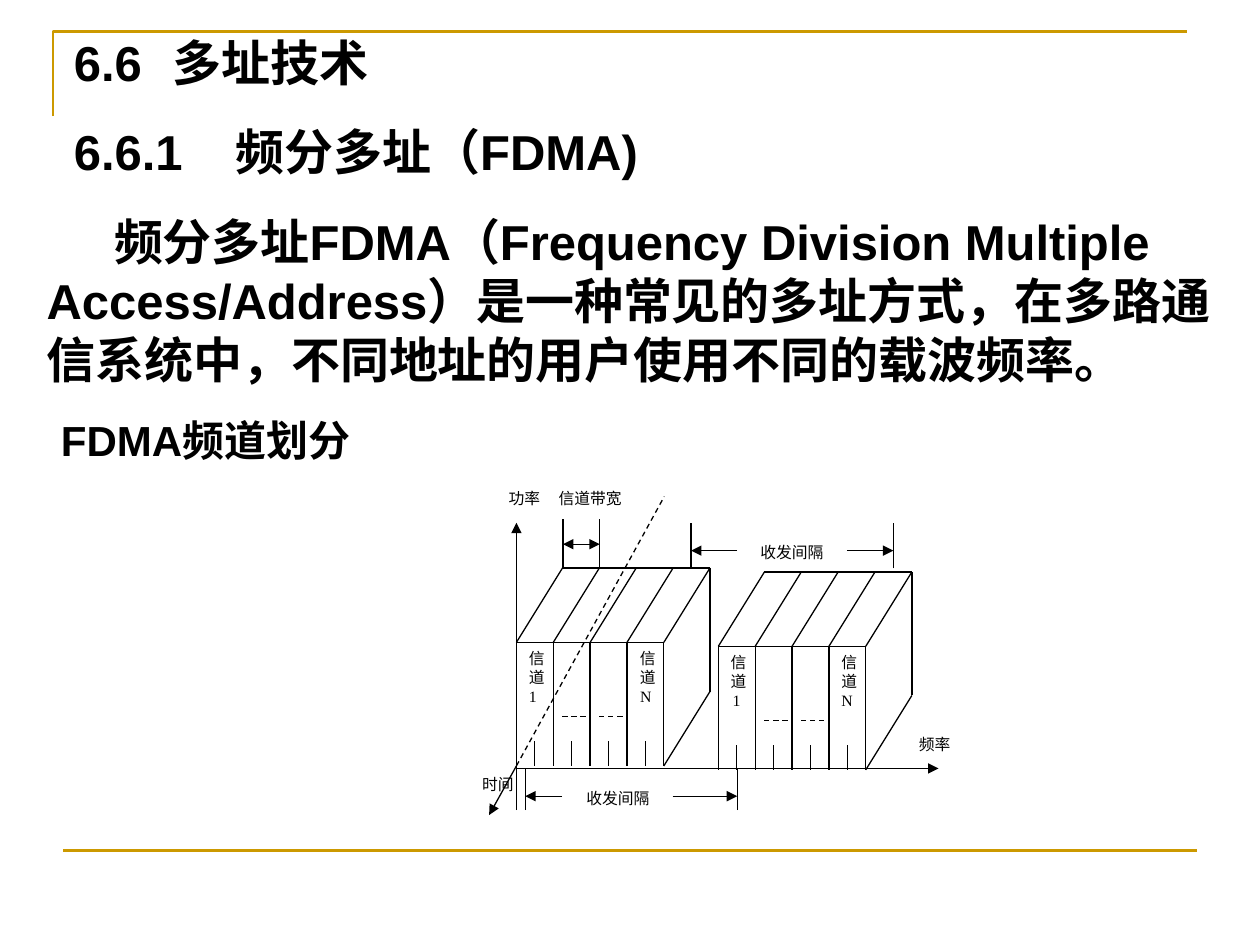
"""Build the slide on frequency division multiple access with its channel diagram."""
from lxml.etree import SubElement
from pptx import Presentation
from pptx.dml.color import RGBColor
from pptx.enum.dml import MSO_LINE
from pptx.enum.shapes import MSO_CONNECTOR, MSO_SHAPE
from pptx.enum.text import MSO_ANCHOR, PP_ALIGN
from pptx.oxml.ns import qn
from pptx.util import Cm, Pt

BLACK = RGBColor(0x00, 0x00, 0x00)
WHITE = RGBColor(0xFF, 0xFF, 0xFF)
GOLD = RGBColor(0xCC, 0x99, 0x00)


def add_line(s, x1, y1, x2, y2, color=BLACK, width=0.75, dash=False, ends=()):
    c = s.shapes.add_connector(MSO_CONNECTOR.STRAIGHT, Cm(x1), Cm(y1), Cm(x2), Cm(y2))
    c.line.color.rgb = color
    c.line.width = Pt(width)
    if dash:
        c.line.dash_style = MSO_LINE.DASH
    ln = c.line._get_or_add_ln()
    for end in ends:
        SubElement(ln, qn(f"a:{end}"), type="triangle")
    SubElement(c._element.spPr, qn("a:effectLst"))


def add_run(p, text, font, size, bold=False):
    r = p.add_run()
    r.text = text
    r.font.name = font
    r.font.size = Pt(size)
    r.font.bold = bold
    r.font.color.rgb = BLACK


prs = Presentation()
prs.slide_width, prs.slide_height = Cm(25.4), Cm(19.05)
s = prs.slides.add_slide(prs.slide_layouts[6])

fb = s.shapes.build_freeform(Cm(1.07), Cm(2.34), scale=1.0)
fb.add_line_segments([(Cm(1.07), Cm(0.64)), (Cm(23.93), Cm(0.64))], close=False)
sp = fb.convert_to_shape()
sp.shadow.inherit = False
sp.fill.background()
sp.line.color.rgb = GOLD
sp.line.width = Pt(1.5)
add_line(s, 1.27, 17.15, 24.13, 17.15, GOLD, 1.5)

paragraphs = [
    ("6.6\t多址技术", 28, 17.5, 0.55, 2.99),
    ("6.6.1\t频分多址（FDMA)", 28, 17.5, 0.55, 3.52),
    ("频分多址FDMA（Frequency Division Multiple Access/Address）是一种常见的多址方式，"
     "在多路通信系统中，不同地址的用户使用不同的载波频率。", 28, 17.5, 1.36, None),
    ("FDMA频道划分", 24, 15, 0.29, None),
]
tf = s.shapes.add_textbox(Cm(0.69), Cm(0.53), Cm(24.71), Cm(14.3)).text_frame
tf.word_wrap = True
for i, (text, size, before, indent, tab) in enumerate(paragraphs):
    p = tf.add_paragraph() if i else tf.paragraphs[0]
    p.space_before = Pt(before)
    pPr = p._p.get_or_add_pPr()
    pPr.set("marL", "0")
    pPr.set("indent", str(Cm(indent)))
    if tab:
        tabs = SubElement(pPr, qn("a:tabLst"))
        SubElement(tabs, qn("a:tab"), pos=str(Cm(tab)), algn="l")
    add_run(p, text, "Arial", size, True)

labels = [
    (["频率"], 18.19, 14.68, 1.3, 0.81),
    (["功率"], 9.68, 9.73, 1.78, 0.84),
    (["时间"], 9.3, 15.49, 1.47, 0.81),
    (["信", "道", "N"], 16.71, 13.03, 0.71, 1.4),
    (["信", "道", "1"], 14.48, 13.03, 0.74, 1.4),
    (["信", "道", "N"], 12.65, 12.95, 0.74, 1.4),
    (["信", "道", "1"], 10.41, 12.95, 0.56, 1.4),
    (["收发间隔"], 15.04, 10.82, 1.85, 0.99),
    (["收发间隔"], 11.53, 15.77, 1.85, 0.99),
    (["信道带宽"], 10.97, 9.73, 1.85, 0.56),
]
for lines, x, y, w, h in labels:
    sp = s.shapes.add_shape(MSO_SHAPE.RECTANGLE, Cm(x), Cm(y), Cm(w), Cm(h))
    sp.shadow.inherit = False
    sp.fill.solid()
    sp.fill.fore_color.rgb = WHITE
    sp.line.fill.background()
    tf = sp.text_frame
    tf.word_wrap = True
    tf.vertical_anchor = MSO_ANCHOR.TOP
    for i, text in enumerate(lines):
        p = tf.add_paragraph() if i else tf.paragraphs[0]
        p.alignment = PP_ALIGN.CENTER
        add_run(p, text, "Times New Roman", 9)

pitch, height, dx, dy = 0.743, 2.49, 0.93, 1.5
width = 4 * pitch
for x, y in [(10.41, 12.95), (14.48, 13.03)]:
    right, bottom = x + width, y + height
    add_line(s, x, y, right, y)
    add_line(s, x + dx, y - dy, right + dx, y - dy)
    add_line(s, right, bottom, right + dx, bottom - dy)
    add_line(s, right + dx, y - dy, right + dx, bottom - dy)
    for i in range(5):
        edge = x + i * pitch
        add_line(s, edge, y, edge, bottom)
        add_line(s, edge, y, edge + dx, y - dy)
    for i in range(4):
        middle = x + (i + 0.5) * pitch
        add_line(s, middle, bottom, middle, bottom - 0.51)
    for i in (1, 2):
        add_line(s, x + (i + 0.25) * pitch, y + 1.5, x + (i + 1) * pitch, y + 1.5, dash=True)

for x, top, bottom in [(11.35, 10.46, 11.46), (12.09, 10.46, 11.46),
                       (13.93, 10.54, 11.46), (18.01, 10.54, 11.46),
                       (10.59, 15.49, 16.33), (14.86, 15.49, 16.33)]:
    add_line(s, x, bottom, x, top)

arrows = [
    (10.41, 16.33, 10.41, 10.54),
    (10.41, 15.49, 18.92, 15.49),
    (10.41, 15.44, 9.86, 16.43),
    (11.33, 16.05, 10.59, 16.05),
    (13.56, 16.05, 14.86, 16.05),
    (14.86, 11.1, 13.93, 11.1),
    (17.07, 11.1, 18.01, 11.1),
]
for ends in arrows:
    add_line(s, *ends, ends=["tailEnd"])
add_line(s, 11.35, 10.97, 12.09, 10.97, ends=["headEnd", "tailEnd"])
add_line(s, 10.41, 15.44, 13.39, 10.01, dash=True)

prs.save("out.pptx")
